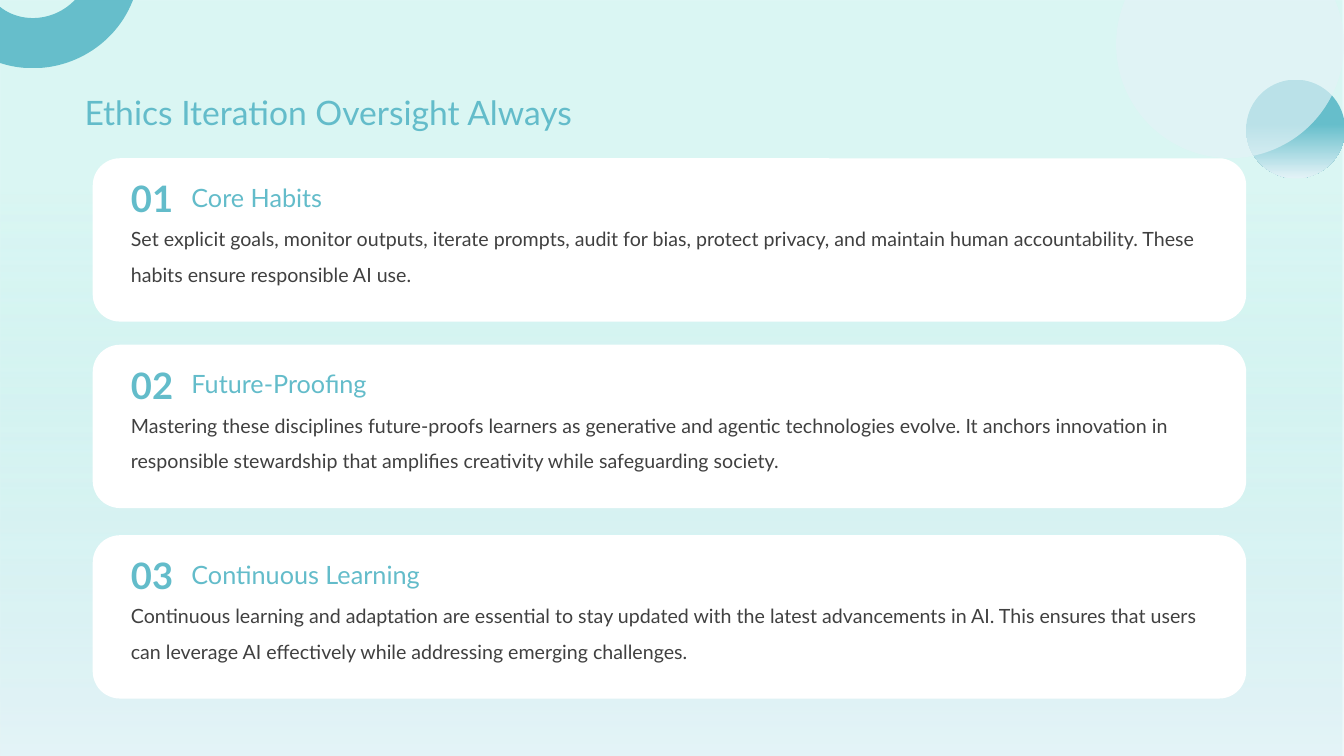
import pptx
import pptx.util
import pptx.dml.color
import pptx.enum.shapes
import pptx.oxml.ns
import lxml.etree

Inches = pptx.util.Inches
RGBColor = pptx.dml.color.RGBColor
SHAPE = pptx.enum.shapes.MSO_SHAPE
qn = pptx.oxml.ns.qn

TEAL = RGBColor(0x66, 0xBE, 0xCB)
TITLE_TEAL = RGBColor(0x63, 0xBC, 0xCA)
MINT = RGBColor(0xA8, 0xEA, 0xE4)
PALE = RGBColor(0xE4, 0xF3, 0xF7)
WHITE = RGBColor(0xFF, 0xFF, 0xFF)
DARK = RGBColor(0x40, 0x40, 0x40)

CARDS = [
    (1.57, "Core Habits",
     "Set explicit goals, monitor outputs, iterate prompts, audit for bias, protect privacy, "
     "and maintain human accountability. These habits ensure responsible AI use."),
    (3.42, "Future-Proofing",
     "Mastering these disciplines future-proofs learners as generative and agentic technologies "
     "evolve. It anchors innovation in responsible stewardship that amplifies creativity while "
     "safeguarding society."),
    (5.31, "Continuous Learning",
     "Continuous learning and adaptation are essential to stay updated with the latest "
     "advancements in AI. This ensures that users can leverage AI effectively while addressing "
     "emerging challenges."),
]


def add_shape(s, kind, x, y, w, h, color=WHITE):
    """Add a filled preset shape without line or shadow."""
    sp = s.shapes.add_shape(kind, Inches(x), Inches(y), Inches(w), Inches(h))
    sp.shadow.inherit = False
    sp.fill.solid()
    sp.fill.fore_color.rgb = color
    sp.line.fill.background()
    return sp


def set_alpha(clr, percent):
    """Set the opacity of a colour element."""
    lxml.etree.SubElement(clr, qn("a:alpha")).set("val", str(percent * 1000))


def set_gradient(sp, stops):
    """Fill a shape from top to bottom with (position, colour, opacity) stops."""
    sp.fill.gradient()
    sp.fill.gradient_angle = 270
    gs_list = sp._element.spPr.find(qn("a:gradFill")).find(qn("a:gsLst"))
    for gs in list(gs_list):
        gs_list.remove(gs)
    for position, color, opacity in stops:
        gs = lxml.etree.SubElement(gs_list, qn("a:gs"))
        gs.set("pos", str(position * 1000))
        clr = lxml.etree.SubElement(gs, qn("a:srgbClr"))
        clr.set("val", str(color))
        if opacity < 100:
            set_alpha(clr, opacity)


def add_text(s, text, x, y, w, h, size, color=TITLE_TEAL, bold=False, spacing=None):
    """Add a wrapped one-paragraph text box."""
    tf = s.shapes.add_textbox(Inches(x), Inches(y), Inches(w), Inches(h)).text_frame
    tf.word_wrap = True
    p = tf.paragraphs[0]
    p.text = text
    p.line_spacing = spacing
    font = p.runs[0].font
    font.name = "Lato"
    font.size = pptx.util.Pt(size)
    font.bold = bold
    font.color.rgb = color


def add_backdrop(s, w, h):
    """Draw the tinted background, the ring and the gradient ball."""
    set_gradient(add_shape(s, SHAPE.RECTANGLE, 0, 0, w, h),
                 [(0, MINT, 42), (25, MINT, 42), (100, PALE, 100)])
    ball = add_shape(s, SHAPE.OVAL, w - 0.97, 0.79, 0.98, 0.98)
    ring = add_shape(s, SHAPE.BLOCK_ARC, -0.68, -1.32, 2.07, 1.99)
    ring.rotation = 157
    for i, value in enumerate((108, 0, 0.25)):
        ring.adjustments[i] = value
    for sp in (ball, ring):
        set_gradient(sp, [(0, TEAL, 100), (45, TEAL, 100), (100, PALE, 100)])


def add_header(s, x, y, w, h):
    """Write the slide title and lay the translucent circle over the corner."""
    add_text(s, "Ethics Iteration Oversight Always", x, y, w, h, 24)
    halo = add_shape(s, SHAPE.OVAL, 11.07, -0.69, 2.26, 2.26, PALE)
    set_alpha(halo._element.spPr.find(qn("a:solidFill"))[0], 67)


def add_card(s, x, y, w, h, number, heading, body):
    """Draw a rounded card with its number, heading and body."""
    add_shape(s, SHAPE.ROUNDED_RECTANGLE, x, y, w, h)
    add_text(s, f"{number:02d}", x + 0.28, y + 0.13, 0.71, 0.5, 26, bold=True)
    add_text(s, heading, x + 0.88, y + 0.19, 3.92, 0.37, 18)
    add_text(s, body, x + 0.28, y + 0.52, w - 0.51, 0.93, 14, DARK, spacing=1.5)


def main():
    """Build and save the slide."""
    prs = pptx.Presentation()
    prs.slide_width, prs.slide_height = Inches(13.33), Inches(7.5)
    s = prs.slides.add_slide(prs.slide_layouts[6])
    add_backdrop(s, 13.33, 7.5)
    add_header(s, 0.74, 0.86, 11.39, 0.4)
    for number, (top, heading, body) in enumerate(CARDS, 1):
        add_card(s, 0.92, top, 11.44, 1.62, number, heading, body)
    prs.save("out.pptx")


if __name__ == "__main__":
    main()
